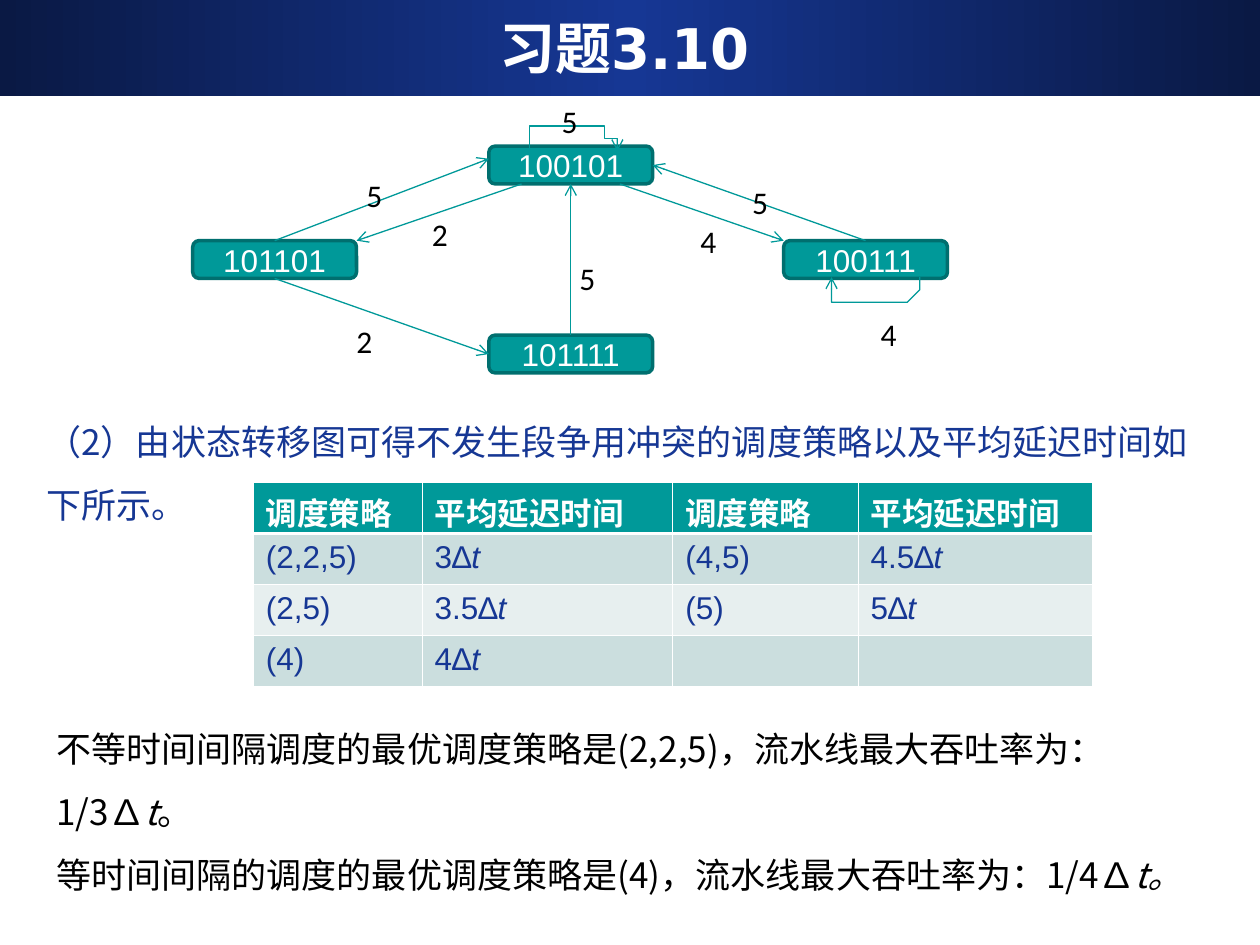
from copy import deepcopy
from lxml.etree import SubElement
from pptx import Presentation
from pptx.dml.color import RGBColor as RGB
from pptx.enum.shapes import MSO_CONNECTOR as LINK, MSO_SHAPE as SHAPE
from pptx.enum.text import MSO_ANCHOR as ANCHOR, PP_ALIGN as ALIGN
from pptx.oxml import parse_xml
from pptx.oxml.ns import nsdecls, qn
from pptx.util import Inches, Pt

WHITE = RGB(0xFF, 0xFF, 0xFF)
BLACK = RGB(0, 0, 0)
BLUE = RGB(0x16, 0x37, 0x94)
NAVY = RGB(0x0A, 0x19, 0x44)
TEAL = RGB(0x00, 0x99, 0x99)
EDGE = RGB(0x00, 0x6F, 0x6F)
BANDS = RGB(0xCB, 0xDE, 0xDE), RGB(0xE7, 0xEF, 0xEF)
HAN = "Noto Sans CJK SC"
TOP, LEFT, BOTTOM, RIGHT = range(4)


def unit(n):
    """Length of n grid cells; the slide is 100 columns by 75 rows."""
    return Inches(round(n / 10, 3))


def write(frame, text, size=18, font="Arial", color=BLACK, bold=False,
          align=ALIGN.LEFT, space=None, before=None):
    """Fill a frame, one paragraph a line; underscores enclose italics."""
    for i, line in enumerate(text.split("\n")):
        par = frame.add_paragraph() if i else frame.paragraphs[0]
        par.alignment, par.line_spacing = align, space
        par.space_before = before
        for j, part in enumerate(line.split("_")):
            if not part:
                continue
            run = par.add_run()
            run.text = part
            face = run.font
            face.size, face.name = Pt(size), font
            face.bold, face.italic = bold, j % 2 == 1
            face.color.rgb = color
            SubElement(run._r.get_or_add_rPr(), qn("a:ea"), typeface=HAN)


def curve(a, b, c, d, steps=12):
    """Points on a Bezier curve after its start."""
    for i in range(1, steps + 1):
        t = i / steps
        u = 1 - t
        yield tuple(u**3 * p + 3 * u * u * t * q + 3 * u * t * t * r + t**3 * s
                    for p, q, r, s in zip(a, b, c, d))


class Page:
    def __init__(self, deck):
        self.slide = deck.slides.add_slide(deck.slide_layouts[5])
        self.shapes = self.slide.shapes

    def band(self, x, y, w, h):
        bar = self.shapes.add_shape(SHAPE.RECTANGLE, *map(unit, (x, y, w, h)))
        bar.shadow.inherit = False
        bar.line.fill.background()
        bar.fill.gradient()
        bar.fill.gradient_angle = 0
        stops = bar._element.spPr.find(".//" + qn("a:gsLst"))
        stops.insert(1, deepcopy(stops[0]))
        for stop, at, color in zip(bar.fill.gradient_stops, (0, 0.5, 1),
                                   (NAVY, BLUE, NAVY)):
            stop.position, stop.color.rgb = at, color
        self.shapes._spTree.insert(2, bar._element)

    def title(self, text, x, y, w, h):
        box = self.shapes.title
        box.left, box.top, box.width, box.height = map(unit, (x, y, w, h))
        box.text_frame.vertical_anchor = ANCHOR.MIDDLE
        write(box.text_frame, text, size=32, font="DejaVu Sans",
              color=WHITE, bold=True, align=ALIGN.CENTER)

    def text(self, text, x, y, w, h, wrap=True, **style):
        frame = self.shapes.add_textbox(*map(unit, (x, y, w, h))).text_frame
        frame.word_wrap = wrap
        write(frame, text, **style)

    def node(self, text, x, y):
        box = self.shapes.add_shape(SHAPE.ROUNDED_RECTANGLE,
                                    *map(unit, (x, y, 13, 3)))
        box.shadow.inherit = False
        box.fill.solid()
        box.fill.fore_color.rgb = TEAL
        box.line.color.rgb, box.line.width = EDGE, Pt(2)
        box.text_frame.vertical_anchor = ANCHOR.MIDDLE
        write(box.text_frame, text, color=WHITE, align=ALIGN.CENTER)
        return box

    def stroke(self, item):
        item.line.color.rgb, item.line.width = TEAL, Pt(0.75)
        SubElement(item.line._get_or_add_ln(), qn("a:tailEnd"), type="arrow")

    def arrow(self, start, end):
        """Each end is a (node, side) pair or an (x, y) point."""
        line = self.shapes.add_connector(LINK.STRAIGHT, 0, 0, 0, 0)
        line.begin_x, line.begin_y, line.end_x, line.end_y = (
            unit(n) if isinstance(n, (int, float)) else 0
            for n in (*start, *end))
        for spot, join in (start, line.begin_connect), (end, line.end_connect):
            if not isinstance(spot, (int, float)):
                pass
        if not isinstance(start[0], (int, float)):
            line.begin_connect(*start)
        if not isinstance(end[0], (int, float)):
            line.end_connect(*end)
        self.stroke(line)
        SubElement(line._element.spPr, qn("a:effectLst"))

    def loop(self, *dots):
        """Curved arrow through Bezier points."""
        path = [p for i in range(0, len(dots) - 1, 3)
                for p in curve(*dots[i:i + 4])]
        pen = self.shapes.build_freeform(*dots[0], scale=unit(1))
        pen.add_line_segments(path, close=False)
        item = pen.convert_to_shape()
        item.shadow.inherit = False
        item.fill.background()
        self.stroke(item)

    def table(self, rows, x, y, cols, high):
        grid = self.shapes.add_table(
            len(rows), len(cols),
            *map(unit, (x, y, sum(cols), high * len(rows)))).table
        for col, wide in zip(grid.columns, cols):
            col.width = unit(wide)
        for i, row in enumerate(rows):
            grid.rows[i].height = unit(high)
            for j, text in enumerate(row):
                cell = grid.cell(i, j)
                cell.fill.solid()
                cell.fill.fore_color.rgb = BANDS[(i - 1) % 2] if i else TEAL
                write(cell.text_frame, text, bold=i == 0,
                      color=BLUE if i else WHITE)
                self.edges(cell, i)

    def edges(self, cell, row):
        wide = {"T": row == 1, "B": row == 0}
        for k, side in enumerate("LRTB"):
            width = Pt(1.47 if wide.get(side) else 0.45)
            cell._tc.get_or_add_tcPr().insert(k, parse_xml(
                f'<a:ln{side} {nsdecls("a")} w="{width}"><a:solidFill>'
                f'<a:srgbClr val="{WHITE}"/></a:solidFill></a:ln{side}>'))


def main():
    deck = Presentation()
    deck.slide_width, deck.slide_height = unit(100), unit(75)
    page = Page(deck)

    # Heading
    page.band(0, 0, 100, 7.6)
    page.title("习题3.10", 3.3, 0.6, 92.5, 6.2)

    # Body text
    page.text("（2）由状态转移图可得不发生段争用冲突的调度策略以及平均延迟时间如下所示。",
              2.7, 31.2, 95.1, 11.8, size=20, font=HAN, color=BLUE,
              space=1.5, before=Pt(5))
    page.text("不等时间间隔调度的最优调度策略是(2,2,5)，流水线最大吞吐率为：1/3∆_t_。\n"
              "等时间间隔的调度的最优调度策略是(4)，流水线最大吞吐率为：1/4∆_t。_",
              3.5, 55.6, 94.1, 11, size=20, font=HAN, space=1.5)

    # States
    head = page.node("100101", 38.8, 11.6)
    west = page.node("101101", 15.3, 19.1)
    east = page.node("100111", 62.2, 19.1)
    foot = page.node("101111", 38.8, 26.6)

    # Transitions
    for start, end in (
            ((west, TOP), (38.8, 12.6)),
            ((west, BOTTOM), (foot, LEFT)),
            ((foot, TOP), (head, BOTTOM)),
            ((49.2, 14.6), (62.2, 19.1)),
            ((41.4, 14.6), (28.3, 19.1)),
            ((east, TOP), (head, RIGHT))):
        page.arrow(start, end)
    page.loop((41.5, 11.5), (41.6, 10.8), (42.6, 10.1), (44, 9.9),
              (44.8, 9.8), (45.7, 9.8), (46.5, 10),
              (48, 10.3), (48.8, 11), (48.6, 11.8))
    page.loop((72.9, 22.2), (73.4, 23.1), (72.5, 24), (70.8, 24.3),
              (69.9, 24.5), (68.9, 24.5), (68, 24.3),
              (66.3, 23.9), (65.5, 23), (66.1, 22.1))

    # Delays
    for text, x, y in (("5", 28.1, 13.5), ("5", 43.6, 7.6), ("2", 33.3, 16.6),
                       ("2", 27.3, 25.1), ("5", 45, 20.1), ("5", 58.7, 14),
                       ("4", 54.6, 17.1), ("4", 68.9, 24.5)):
        page.text(text, x, y, 3.2, 4, wrap=False, font="Calibri")

    # Strategies
    page.table([("调度策略", "平均延迟时间") * 2,
                ("(2,2,5)", "3∆_t_", "(4,5)", "4.5∆_t_"),
                ("(2,5)", "3.5∆_t_", "(5)", "5∆_t_"),
                ("(4)", "4∆_t_", "", "")],
               20.1, 38.3, (13.4, 19.9, 14.7, 18.6), 4.05)

    deck.save("out.pptx")


if __name__ == "__main__":
    main()
